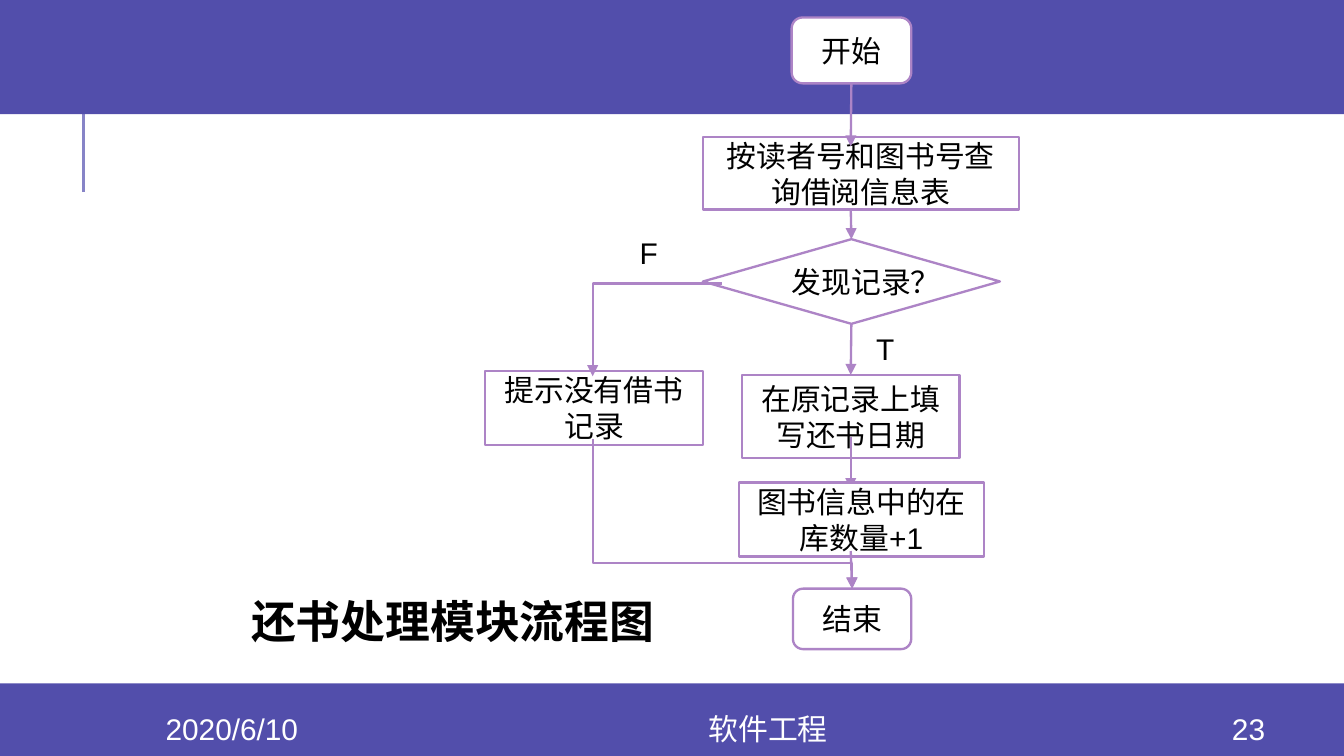
from lxml.etree import SubElement
from pptx import Presentation
from pptx.dml.color import RGBColor
from pptx.enum.shapes import MSO_CONNECTOR, MSO_SHAPE
from pptx.enum.text import MSO_ANCHOR, PP_ALIGN
from pptx.oxml.ns import qn
from pptx.util import Inches, Pt

COLOURS = {
    "band": "524EAB",
    "rule": "8784C7",
    "outline": "AD84C6",
    "paper": "FFFFFF",
    "ink": "000000",
}
FONT = "Arial"
PAGE_WIDTH = 10
PAGE_HEIGHT = PAGE_WIDTH * 9 / 16


def colour(name):
    return RGBColor.from_string(COLOURS[name])


def place(box, left, top, width, height):
    return [Inches(value) for value in (box[0] + left, box[1] + top, width, height)]


def write_text(shape, text, ink="ink", size=16, bold=False,
               align=PP_ALIGN.CENTER, anchor=MSO_ANCHOR.MIDDLE, wrap=True):
    frame = shape.text_frame
    frame.word_wrap = wrap
    frame.vertical_anchor = anchor
    para = frame.paragraphs[0]
    para.alignment = align
    span = para.add_run()
    span.text = text
    span.font.name = FONT
    span.font.size = Pt(size)
    span.font.bold = bold
    span.font.color.rgb = colour(ink)


def add_block(page, kind, bounds, fill, outline=None):
    shape = page.shapes.add_shape(kind, *bounds)
    shape.shadow.inherit = False
    shape.fill.solid()
    shape.fill.fore_color.rgb = colour(fill)
    if outline:
        shape.line.color.rgb = colour(outline)
        shape.line.width = Pt(1.25)
    else:
        shape.line.fill.background()
    return shape


def add_line(page, kind, start, end, ink="outline", width=1.25, arrow=None):
    points = [Inches(value) for value in (*start, *end)]
    line = page.shapes.add_connector(kind, *points)
    line.line.color.rgb = colour(ink)
    line.line.width = Pt(width)
    SubElement(line._element.spPr, qn("a:effectLst"))
    if arrow:
        SubElement(line._element.spPr.find(qn("a:ln")), qn(f"a:{arrow}"), type="triangle")
    return line


def add_arrow(page, box, start, end, source=None, target=None):
    arrow = add_line(page, MSO_CONNECTOR.STRAIGHT,
                     (box[0] + start[0], box[1] + start[1]),
                     (box[0] + end[0], box[1] + end[1]), arrow="tailEnd")
    if source:
        arrow.begin_connect(source, 2)
    if target:
        arrow.end_connect(target, 0)


def add_elbow(page, box, start, end, turn, flips, preset, bend=None):
    middle_x = box[0] + (start[0] + end[0]) / 2
    middle_y = box[1] + (start[1] + end[1]) / 2
    half_width = abs(end[1] - start[1]) / 2 * (-1 if "h" in flips else 1)
    half_height = abs(end[0] - start[0]) / 2 * (-1 if "v" in flips else 1)
    elbow = add_line(page, MSO_CONNECTOR.ELBOW,
                     (middle_x - half_width, middle_y - half_height),
                     (middle_x + half_width, middle_y + half_height), arrow="headEnd")
    properties = elbow._element.spPr
    properties.find(qn("a:xfrm")).set("rot", str(turn * 60000))
    geometry = properties.find(qn("a:prstGeom"))
    geometry.set("prst", preset)
    if bend:
        adjustments = geometry.find(qn("a:avLst"))
        if adjustments is None:
            adjustments = SubElement(geometry, qn("a:avLst"))
        SubElement(adjustments, qn("a:gd"), name="adj1", fmla=f"val {round(bend * 100000)}")


def draw_frame(page, box):
    left, top, width, height = box
    add_line(page, MSO_CONNECTOR.STRAIGHT, (left + 0.62, top + 1.43),
             (left + 0.62, top + 0.68), "rule", 1.5)
    for band_top, band_height in ((height - 0.54, 0.54), (-0.03, 0.88)):
        add_block(page, MSO_SHAPE.RECTANGLE,
                  place(box, 0, band_top, width, band_height), "band")


def draw_footer(page, box):
    for text, left, width in (("2020/6/10", 0, 1.77), ("软件工程", 1.77, 6.21), ("23", 8.05, 0.8)):
        label = page.shapes.add_textbox(*place(box, left, 0, width, box[3]))
        write_text(label, text, "paper")


def draw_flowchart(page, box):
    axis = 4.56
    branch = 2.64

    def add_step(kind, text, *bounds):
        step = add_block(page, kind, place(box, *bounds), "paper", "outline")
        write_text(step, text)
        return step

    terminal = MSO_SHAPE.FLOWCHART_ALTERNATE_PROCESS
    process = MSO_SHAPE.FLOWCHART_PROCESS
    start = add_step(terminal, "开始", 4.12, 0, 0.89, 0.49)
    add_step(process, "按读者号和图书号查询借阅信息表", 3.46, 0.89, 2.35, 0.54)
    add_step(process, "提示没有借书记录", 1.84, 2.63, 1.62, 0.55)
    decision = add_step(MSO_SHAPE.FLOWCHART_DECISION, "发现记录？", 3.46, 1.65, 2.21, 0.63)
    record = add_step(process, "在原记录上填写还书日期", 3.75, 2.66, 1.62, 0.62)
    finish = add_step(terminal, "结束", 4.13, 4.25, 0.88, 0.45)

    for top, bottom, source, target in (
        (0.48, 0.96, start, None),
        (1.42, 1.66, None, decision),
        (2.29, 2.66, decision, record),
        (3.12, 3.51, None, None),
    ):
        add_arrow(page, box, (axis, top), (axis, bottom), source, target)

    add_elbow(page, box, (4.57, 4.25), (branch, 3.14), 270, "v", "bentConnector3", 0.17)
    add_elbow(page, box, (branch, 2.67), (3.6, 1.98), 90, "hv", "bentConnector2")

    for text, bounds, size in (
        ("F", (2.89, 1.57, 0.32, 0.37), 16),
        ("T", (4.65, 2.28, 0.33, 0.37), 16),
        ("还书处理模块流程图", (0, 4.24, 3.23, 0.5), 24),
    ):
        label = add_block(page, MSO_SHAPE.RECTANGLE, place(box, *bounds), "paper")
        write_text(label, text, size=size, bold=size == 24, align=PP_ALIGN.LEFT,
                   anchor=MSO_ANCHOR.TOP, wrap=False)

    add_step(process, "图书信息中的在库数量+1", 3.73, 3.46, 1.82, 0.55)
    add_arrow(page, box, (axis, 3.97), (4.57, 4.25), target=finish)


def main():
    deck = Presentation()
    deck.slide_width = Inches(PAGE_WIDTH)
    deck.slide_height = Inches(PAGE_HEIGHT)
    page = deck.slides.add_slide(deck.slide_layouts[6])
    draw_frame(page, (0, 0, PAGE_WIDTH, PAGE_HEIGHT))
    draw_flowchart(page, (1.77, 0.13, 5.81, 4.74))
    draw_footer(page, (0.84, 5.31, 8.85, 0.23))
    deck.save("out.pptx")


if __name__ == "__main__":
    main()
